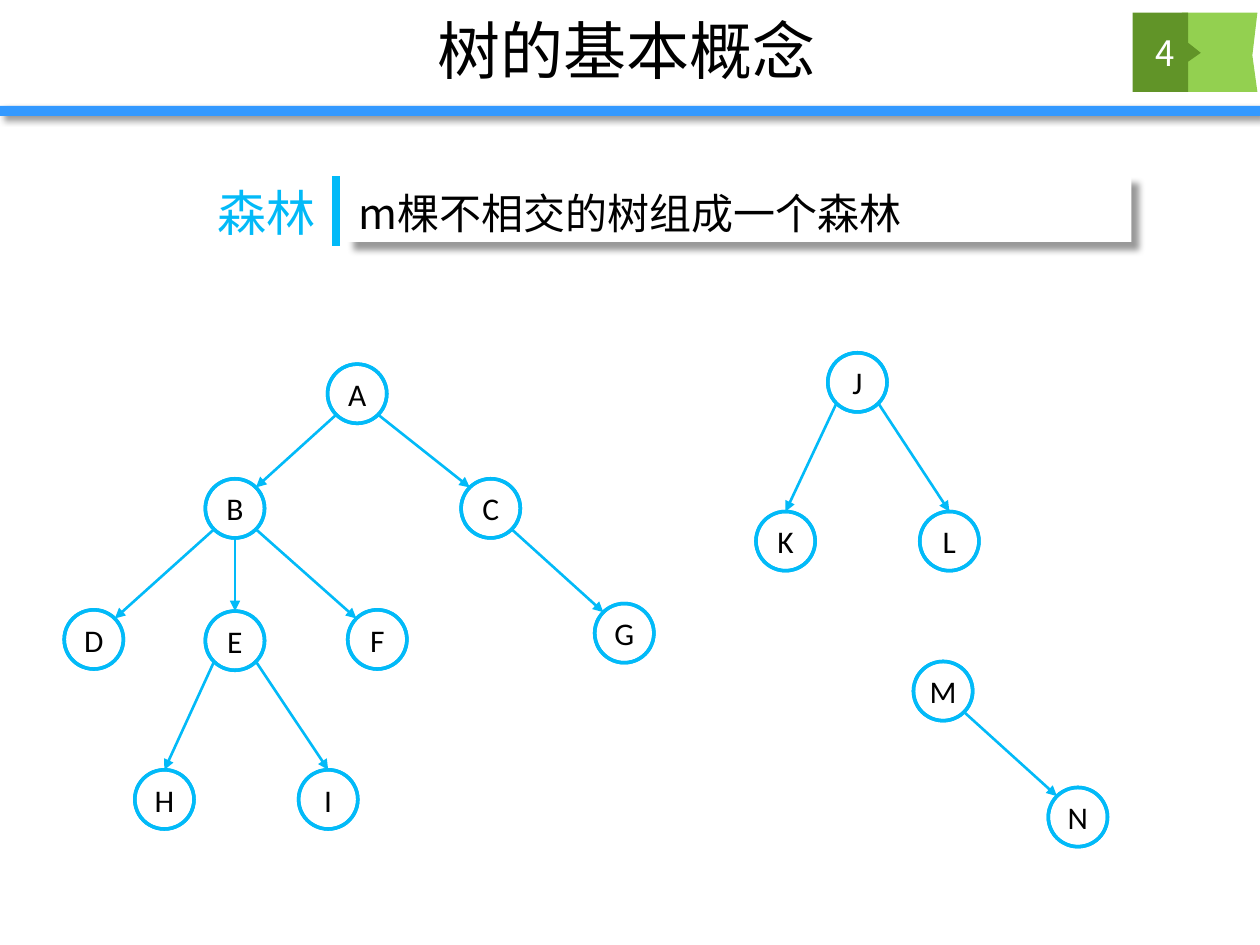
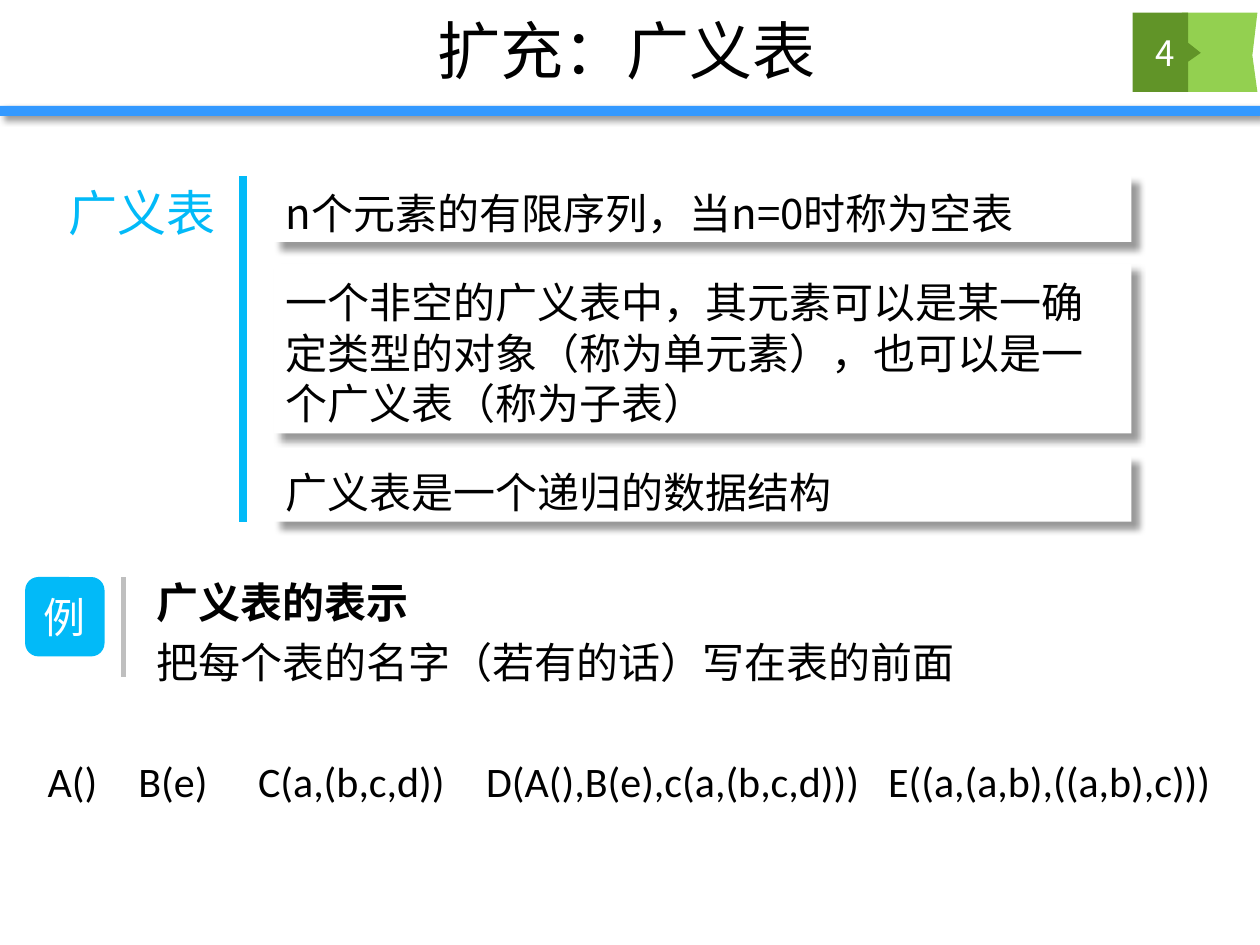
from dataclasses import dataclass
from typing import NamedTuple

from lxml import etree
from pptx import Presentation
from pptx import util as u
from pptx.dml.color import RGBColor
from pptx.enum import shapes, text
from pptx.oxml.ns import qn

GRID_COLUMNS, GRID_ROWS = 100, 75
WIDTH, HEIGHT = u.Inches(10), u.Inches(7.5)


@dataclass(frozen=True)
class Theme:
    cjk: str = "Noto Sans CJK SC"
    latin: str = "Calibri"
    ink: str = "000000"
    paper: str = "FFFFFF"
    accent: str = "02BAF8"
    band: str = "3399FF"
    light_green: str = "93D050"
    dark_green: str = "619428"
    rule: str = "BFBFBF"
    title: int = 36
    label: int = 28
    content: int = 24
    number: int = 20
    node: int = 18


class Area(NamedTuple):
    column: float
    row: float
    columns: float
    rows: float


class Point(NamedTuple):
    column: float
    row: float


@dataclass(frozen=True)
class Style:
    size: int
    color: str = "000000"
    font: str = "Noto Sans CJK SC"
    align: text.PP_ALIGN = text.PP_ALIGN.LEFT
    anchor: text.MSO_ANCHOR = text.MSO_ANCHOR.MIDDLE
    bold: bool = False
    spacing: float | u.Pt | None = None
    wrap: bool = True


class Card(NamedTuple):
    words: str
    rows: float


class Formula(NamedTuple):
    words: str
    column: float
    columns: float


THEME = Theme()
CENTER, RIGHT = text.PP_ALIGN.CENTER, text.PP_ALIGN.RIGHT
TOP = text.MSO_ANCHOR.TOP
TITLE = Style(THEME.title, align=CENTER)
NUMBER = Style(THEME.number, THEME.paper, align=CENTER)
LABEL = Style(THEME.label, THEME.accent, align=RIGHT)
CARD = Style(THEME.content, spacing=u.Pt(29))
BADGE = Style(THEME.content, THEME.paper, align=CENTER)
HEADING = Style(THEME.content, anchor=TOP, bold=True, spacing=1.1)
SENTENCE = Style(THEME.content, anchor=TOP, spacing=1.1)
FORMULA = Style(THEME.content, font=THEME.latin, anchor=TOP, wrap=False)
NODE = Style(THEME.node, font=THEME.latin, align=CENTER, wrap=False)

NODE_SIZE = 4.7
DIAGONAL = 0.5 ** 0.5
CARD_TOP, CARD_RIGHT, CARD_GAP = 13.9, 89.8, 1.7

NODES = {
    "A": Point(26, 28.9), "B": Point(16.3, 38), "C": Point(36.6, 38),
    "D": Point(5.1, 48.4), "E": Point(16.3, 48.5), "F": Point(27.6, 48.4),
    "G": Point(47.2, 47.9), "H": Point(10.7, 61.1), "I": Point(23.7, 61.1),
    "J": Point(65.7, 28), "K": Point(60, 40.6), "L": Point(73, 40.6),
    "M": Point(72.5, 52.5), "N": Point(83.2, 62.5),
}
CHILDREN = {"A": "BC", "B": "DEF", "C": "G", "E": "HI", "J": "KL", "M": "N"}

LIGHT_FLAG = [Point(93.8, 1), Point(99.8, 1), Point(99.4, 4.4),
              Point(99.8, 7.3), Point(93.8, 7.3)]
DARK_FLAG = [Point(89.9, 1), Point(94.3, 1), Point(94.3, 3.4), Point(95.3, 4.2),
             Point(94.3, 4.9), Point(94.3, 7.3), Point(89.9, 7.3)]

LIST_CARDS = [
    Card("n个元素的有限序列，当n=0时称为空表", 5.3),
    Card("一个非空的广义表中，其元素可以是某一确定类型的对象（称为单元素），"
         "也可以是一个广义表（称为子表）", 13.5),
    Card("广义表是一个递归的数据结构", 5.3),
]
FORMULAS = [
    Formula("A()", 2.8, 6),
    Formula("B(e)", 10, 7.6),
    Formula("C(a,(b,c,d))", 19.5, 17),
    Formula("D(A(),B(e),c(a,(b,c,d)))", 37.6, 31.9),
    Formula("E((a,(a,b),((a,b),c)))", 69.5, 27.8),
]


def across(columns: float) -> int:
    return round(WIDTH * columns / GRID_COLUMNS)


def down(rows: float) -> int:
    return round(HEIGHT * rows / GRID_ROWS)


def frame(area: Area) -> tuple[int, int, int, int]:
    return across(area.column), down(area.row), across(area.columns), down(area.rows)


def rgb(color: str) -> RGBColor:
    return RGBColor.from_string(color)


def write(box, words: str, style: Style) -> None:
    body = box.text_frame
    body.text = words
    body.word_wrap = style.wrap
    body.auto_size = text.MSO_AUTO_SIZE.NONE
    body.vertical_anchor = style.anchor
    para = body.paragraphs[0]
    para.alignment = style.align
    if style.spacing:
        para.line_spacing = style.spacing
    if box.is_placeholder:
        para.space_before = 0
        for settings in box.element.iter(qn("a:pPr")):
            settings.set("marL", "0")
            settings.set("indent", "0")
            etree.SubElement(settings, qn("a:buNone"))
    para.font.name = style.font
    para.font.size = u.Pt(style.size)
    para.font.bold = style.bold
    para.font.color.rgb = rgb(style.color)
    for settings in box.element.iter(qn("a:defRPr")):
        etree.SubElement(settings, qn("a:ea"), typeface=style.font)


def inset(box, top: float, bottom: float) -> None:
    box.text_frame.margin_top = u.Inches(top)
    box.text_frame.margin_bottom = u.Inches(bottom)


def paint(shape, color: str) -> None:
    shape.shadow.inherit = False
    shape.fill.solid()
    shape.fill.fore_color.rgb = rgb(color)
    shape.line.fill.background()


def add_block(page, kind: shapes.MSO_SHAPE, area: Area, color: str):
    block = page.shapes.add_shape(kind, *frame(area))
    paint(block, color)
    return block


def cast_shadow(shape, distance: int) -> None:
    effects = shape.element.spPr.find(qn("a:effectLst"))
    shadow = etree.SubElement(
        effects, qn("a:outerShdw"), blurRad=str(u.Pt(4)), dist=str(u.Pt(distance)),
        dir="2700000", algn="tl", rotWithShape="0")
    color = etree.SubElement(shadow, qn("a:srgbClr"), val=THEME.ink)
    etree.SubElement(color, qn("a:alpha"), val="40000")


def add_text(page, area: Area, words: str, style: Style):
    box = page.shapes.add_textbox(*frame(area))
    write(box, words, style)
    return box


def add_line(page, start: Point, end: Point, color: str, width: float,
             arrow: bool = False) -> None:
    line = page.shapes.add_connector(
        shapes.MSO_CONNECTOR.STRAIGHT, across(start.column), down(start.row),
        across(end.column), down(end.row))
    line.line.color.rgb = rgb(color)
    line.line.width = u.Pt(width)
    settings = line.element.spPr
    if arrow:
        etree.SubElement(settings.find(qn("a:ln")), qn("a:tailEnd"), type="triangle")
    etree.SubElement(settings, qn("a:effectLst"))


def add_flag(page, outline: list[Point], color: str):
    corners = [(across(point.column), down(point.row)) for point in outline]
    builder = page.shapes.build_freeform(*corners[0])
    builder.add_line_segments(corners[1:], close=True)
    flag = builder.convert_to_shape()
    paint(flag, color)
    return flag


def furnish_layout(page) -> None:
    band = add_block(page, shapes.MSO_SHAPE.RECTANGLE, Area(0, 8.4, 100, 0.8), THEME.band)
    cast_shadow(band, 3)
    flags = [add_flag(page, LIGHT_FLAG, THEME.light_green),
             add_flag(page, DARK_FLAG, THEME.dark_green)]
    for shape in [band, *flags]:
        page.slide_layout.shapes.element.append(shape.element)


def add_page(deck, title: str):
    page = deck.slides.add_slide(deck.slide_layouts[1])
    heading, number = page.placeholders
    for box, area, words, style in (
        (heading, Area(9.8, 0.1, 79.9, 7.7), title, TITLE),
        (number, Area(89.4, 1, 6.2, 6.3), "4", NUMBER),
    ):
        box.left, box.top, box.width, box.height = frame(area)
        write(box, words, style)
    return page


def add_definition(page, term: str, label: Area, rule: float, rule_end: float,
                   card_left: float, cards: list[Card]) -> None:
    inset(add_text(page, label, term, LABEL), 0, 0)
    add_line(page, Point(rule, 14), Point(rule, rule_end), THEME.accent, 4.5)
    row = CARD_TOP
    for card in cards:
        area = Area(card_left, row, CARD_RIGHT - card_left, card.rows)
        block = add_block(page, shapes.MSO_SHAPE.RECTANGLE, area, THEME.paper)
        cast_shadow(block, 6)
        write(block, card.words, CARD)
        inset(block, 0.06, 0)
        row += card.rows + CARD_GAP


def add_node(page, name: str, corner: Point) -> None:
    area = Area(*corner, NODE_SIZE, NODE_SIZE)
    node = add_block(page, shapes.MSO_SHAPE.DONUT, area, THEME.dark_green)
    node.adjustments[0] = 0
    node.line.color.rgb = rgb(THEME.accent)
    node.line.width = u.Pt(2)
    write(node, name, NODE)
    inset(node, 0, 0)
    node.text_frame.margin_left = node.text_frame.margin_right = 0


def rim(corner: Point, side: int, vertical: int) -> Point:
    radius = NODE_SIZE / 2
    reach = radius * (DIAGONAL if side else 1)
    return Point(corner.column + radius + side * reach,
                 corner.row + radius + vertical * reach)


def add_edge(page, parent: Point, child: Point) -> None:
    shift, drop = child.column - parent.column, child.row - parent.row
    side = (shift > 0) - (shift < 0)
    steep = drop > abs(shift)
    add_line(page, rim(parent, side, 1), rim(child, 0 if steep else -side, -1),
             THEME.accent, 1.5, arrow=True)


def fill_forest(page) -> None:
    add_definition(page, "森林", Area(8.3, 14, 17.7, 5.7), 26.7, 19.5, 27.5,
                   [Card("m棵不相交的树组成一个森林", 5.3)])
    for name, corner in NODES.items():
        add_node(page, name, corner)
    for parent, children in CHILDREN.items():
        for child in children:
            add_edge(page, NODES[parent], NODES[child])


def fill_generalized_list(page) -> None:
    add_definition(page, "广义表", Area(3.5, 14, 14.6, 5.7), 19.3, 41.4, 21.7, LIST_CARDS)
    badge = add_block(page, shapes.MSO_SHAPE.ROUNDED_RECTANGLE,
                      Area(2, 45.8, 6.3, 6.3), THEME.accent)
    write(badge, "例", BADGE)
    add_line(page, Point(9.8, 45.8), Point(9.8, 53.7), THEME.rule, 3)
    add_text(page, Area(11.4, 44.9, 88.2, 5.4), "广义表的表示", HEADING)
    add_text(page, Area(11.4, 49.6, 88.2, 5.4),
             "把每个表的名字（若有的话）写在表的前面", SENTENCE)
    for formula in FORMULAS:
        add_text(page, Area(formula.column, 59.5, formula.columns, 5),
                 formula.words, FORMULA)


def main() -> None:
    deck = Presentation()
    deck.slide_width, deck.slide_height = WIDTH, HEIGHT
    forest = add_page(deck, "树的基本概念")
    furnish_layout(forest)
    fill_forest(forest)
    fill_generalized_list(add_page(deck, "扩充：广义表"))
    deck.save("out.pptx")


if __name__ == "__main__":
    main()
